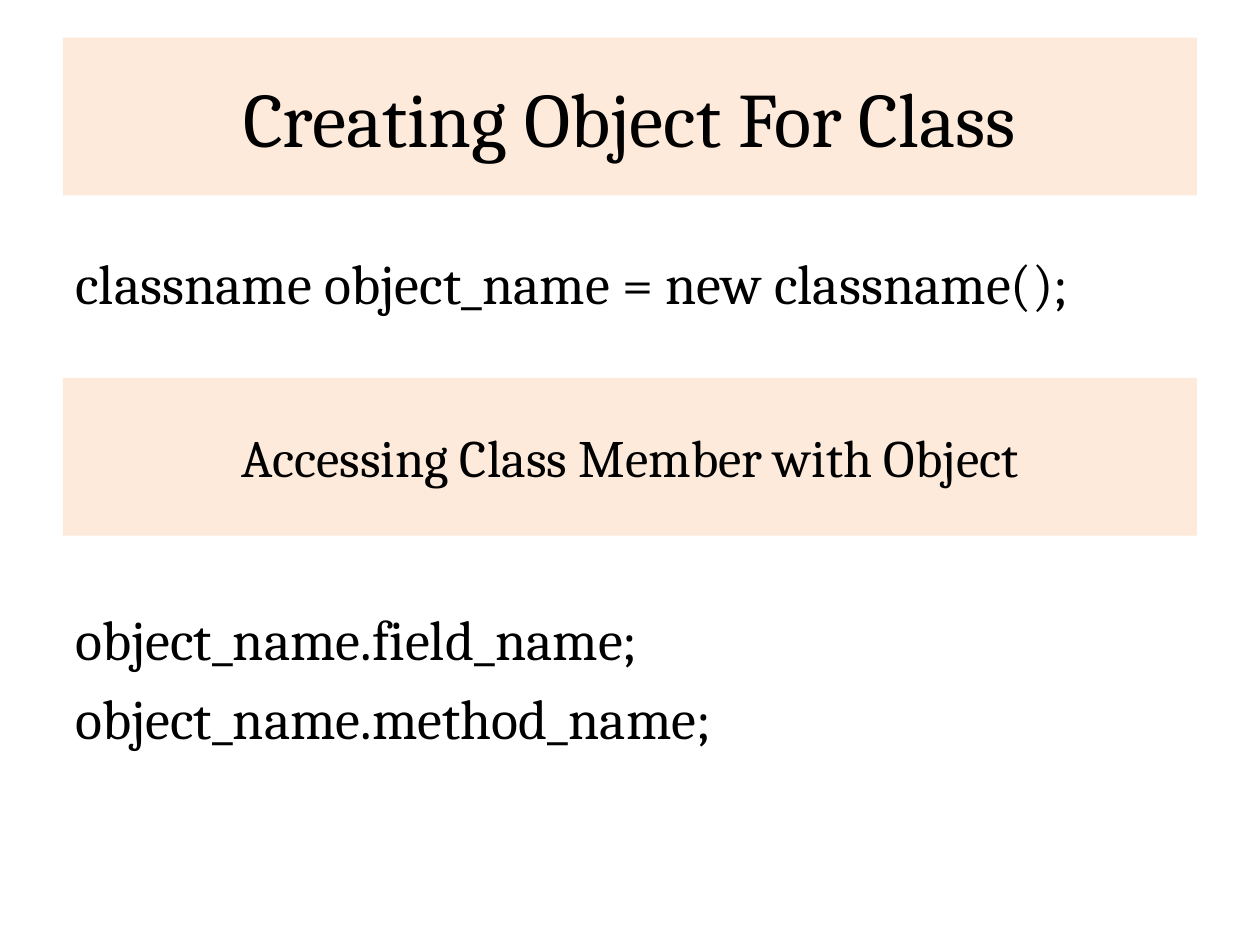
from dataclasses import dataclass

import pptx
import pptx.dml.color
import pptx.enum.shapes
import pptx.enum.text
import pptx.util
from pptx.util import Cm

FONT_NAME = "Cambria"
TEXT_COLOR = "000000"
BANNER_COLOR = "FDEADA"
LEFT = Cm(1.27)
WIDTH = Cm(22.86)
BANNER_HEIGHT = Cm(3.18)
CODE_SIZE = 32


@dataclass
class Banner:
    """A filled heading bar."""
    text: str
    top: float
    size: int


@dataclass
class CodeBlock:
    """Lines of code below a banner."""
    lines: list[str]
    top: float
    height: float


BANNERS = [
    Banner("Creating Object For Class", 0.76, 44),
    Banner("Accessing Class Member with Object", 7.62, 30),
]
CODE_BLOCKS = [
    CodeBlock(["classname object_name = new classname();"], 4.88, 2.11),
    CodeBlock(["object_name.field_name;", "object_name.method_name;"], 12.07, 3.38),
]


def color(value: str) -> pptx.dml.color.RGBColor:
    """Turn a hex string into a colour."""
    return pptx.dml.color.RGBColor.from_string(value)


def style_paragraph(paragraph, text: str, size: int, alignment) -> None:
    """Write the text of a paragraph and set its font and alignment."""
    paragraph.text = text
    paragraph.alignment = alignment
    paragraph.font.name = FONT_NAME
    paragraph.font.size = pptx.util.Pt(size)
    paragraph.font.color.rgb = color(TEXT_COLOR)


def add_banner(slide, banner: Banner) -> None:
    """Draw a heading bar with centred text."""
    shape = slide.shapes.add_shape(
        pptx.enum.shapes.MSO_SHAPE.RECTANGLE, LEFT, Cm(banner.top), WIDTH, BANNER_HEIGHT
    )
    shape.shadow.inherit = False
    shape.fill.solid()
    shape.fill.fore_color.rgb = color(BANNER_COLOR)
    shape.line.fill.background()
    frame = shape.text_frame
    frame.word_wrap = True
    frame.vertical_anchor = pptx.enum.text.MSO_ANCHOR.MIDDLE
    style_paragraph(
        frame.paragraphs[0], banner.text, banner.size, pptx.enum.text.PP_ALIGN.CENTER
    )


def add_code_block(slide, block: CodeBlock) -> None:
    """Draw a text box with one paragraph for each line of code."""
    box = slide.shapes.add_textbox(LEFT, Cm(block.top), WIDTH, Cm(block.height))
    frame = box.text_frame
    frame.word_wrap = True
    for index, line in enumerate(block.lines):
        paragraph = frame.add_paragraph() if index else frame.paragraphs[0]
        style_paragraph(paragraph, line, CODE_SIZE, pptx.enum.text.PP_ALIGN.LEFT)
        paragraph.space_before = pptx.util.Pt(0.2 * CODE_SIZE)


def main() -> None:
    """Build the slide and save it."""
    presentation = pptx.Presentation()
    presentation.slide_width = Cm(25.4)
    presentation.slide_height = Cm(19.05)
    slide = presentation.slides.add_slide(presentation.slide_layouts[6])
    for banner, block in zip(BANNERS, CODE_BLOCKS):
        add_banner(slide, banner)
        add_code_block(slide, block)
    presentation.save("out.pptx")


main()
